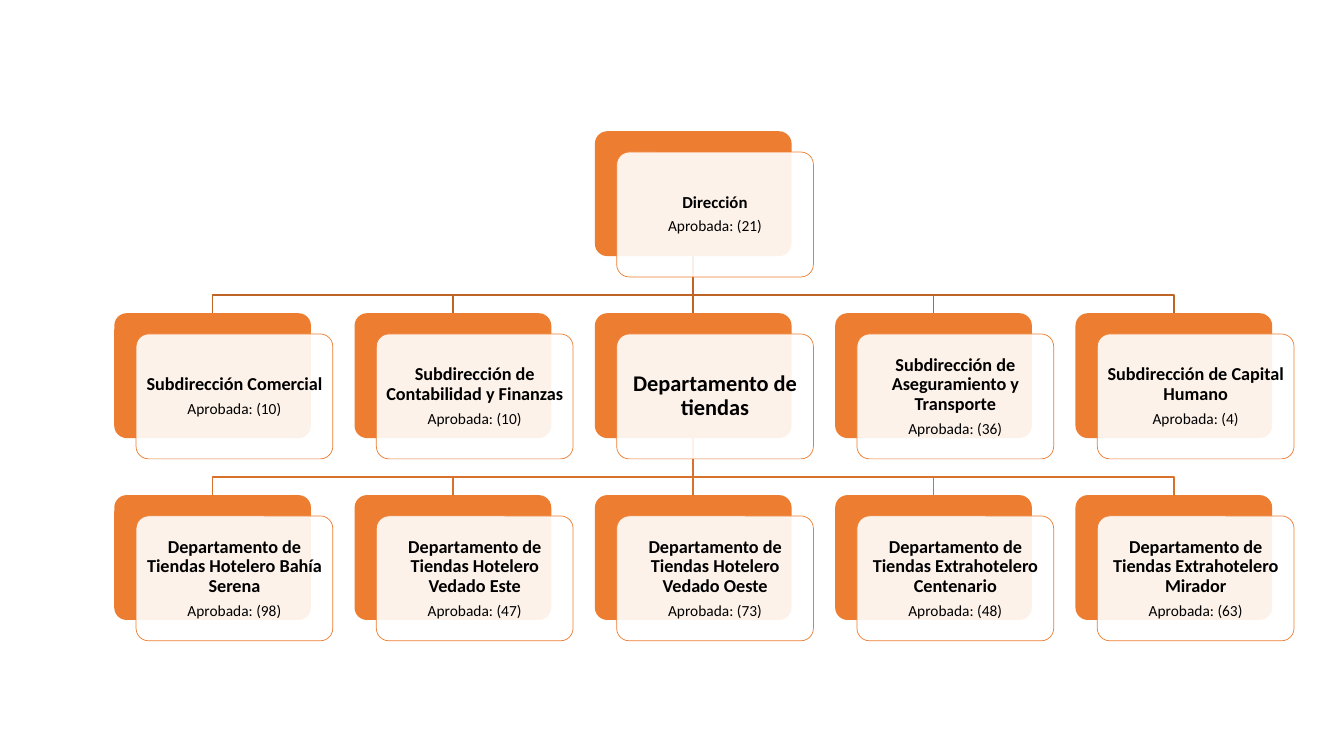
from dataclasses import dataclass
from typing import Optional

from lxml.etree import SubElement
from pptx import Presentation
from pptx.dml.color import RGBColor
from pptx.enum.shapes import MSO_CONNECTOR, MSO_SHAPE
from pptx.enum.text import MSO_ANCHOR, PP_ALIGN
from pptx.oxml.ns import qn
from pptx.shapes.autoshape import Shape
from pptx.slide import Slide
from pptx.util import Pt


@dataclass(frozen=True)
class Theme:
    font: str = "Calibri"
    accent: str = "ED7D31"
    card: str = "FFFFFF"
    card_alpha: int = 90
    text: str = "000000"
    upper_link: str = "BE6427"
    lower_link: str = "D7712C"
    root_size: float = 12
    title_size: float = 13
    hub_size: float = 16
    count_size: float = 11
    line_spacing: float = 0.9
    space_after: float = 0.35


@dataclass(frozen=True)
class Node:
    row: int
    col: int
    title: str
    approved: Optional[int] = None
    size: float = Theme.title_size
    inset: float = 3.6

    @property
    def left(self) -> float:
        return LEFT + self.col * COL_PITCH

    @property
    def top(self) -> float:
        return TOP + self.row * ROW_PITCH

    @property
    def center(self) -> float:
        return self.left + BOX_W / 2


THEME = Theme()
LEFT, TOP = 81.6, 93.75
COL_PITCH, ROW_PITCH = 171.65, 129.95
BOX_W, BOX_H = 140.5, 89.2
CARD_DX, CARD_DY = 15.6, 14.85
BUS_GAP = 13

ROOT = Node(0, 2, "Dirección", 21, THEME.root_size)
HUB = Node(1, 2, "Departamento de tiendas", size=THEME.hub_size, inset=4.8)
DIVISIONS = [
    Node(1, 0, "Subdirección Comercial", 10),
    Node(1, 1, "Subdirección de Contabilidad y Finanzas", 10),
    HUB,
    Node(1, 3, "Subdirección de Aseguramiento y Transporte", 36),
    Node(1, 4, "Subdirección de Capital Humano", 4),
]
STORES = [
    Node(2, col, f"Departamento de Tiendas {name}", approved)
    for col, (name, approved) in enumerate([
        ("Hotelero Bahía Serena", 98),
        ("Hotelero Vedado Este", 47),
        ("Hotelero Vedado Oeste", 73),
        ("Extrahotelero Centenario", 48),
        ("Extrahotelero Mirador", 63),
    ])
]


def rgb(color: str) -> RGBColor:
    return RGBColor.from_string(color)


def add_link(s: Slide, parent: Node, child: Node, color: str) -> None:
    """Join parent to child with a straight line or, across columns, an elbow."""
    x0, y0 = Pt(parent.center), Pt(parent.top + BOX_H)
    x1, y1 = Pt(child.center), Pt(child.top)
    if parent.col == child.col:
        link = s.shapes.add_connector(MSO_CONNECTOR.STRAIGHT, x0, y0, x1, y1)
        SubElement(link.element.spPr, qn("a:effectLst"))
    else:
        bus = Pt(child.top - BUS_GAP)
        builder = s.shapes.build_freeform(x0, y0)
        builder.add_line_segments([(x0, bus), (x1, bus), (x1, y1)], close=False)
        link = builder.convert_to_shape()
        link.fill.background()
        link.shadow.inherit = False
    link.line.color.rgb = rgb(color)
    link.line.width = Pt(1)


def add_box(s: Slide, left: float, top: float, color: str) -> Shape:
    sp = s.shapes.add_shape(
        MSO_SHAPE.ROUNDED_RECTANGLE, Pt(left), Pt(top), Pt(BOX_W), Pt(BOX_H)
    )
    sp.adjustments[0] = 0.1
    sp.shadow.inherit = False
    sp.fill.solid()
    sp.fill.fore_color.rgb = rgb(color)
    sp.line.fill.background()
    return sp


def add_text(sp: Shape, node: Node) -> None:
    tf = sp.text_frame
    tf.word_wrap = True
    tf.vertical_anchor = MSO_ANCHOR.MIDDLE
    tf.margin_left = tf.margin_right = Pt(node.inset)
    tf.margin_top = tf.margin_bottom = Pt(node.inset)
    lines = [(node.title, node.size, True)]
    if node.approved is not None:
        lines.append((f"Aprobada: ({node.approved})", THEME.count_size, False))
    for i, (text, size, bold) in enumerate(lines):
        p = tf.add_paragraph() if i else tf.paragraphs[0]
        p.alignment = PP_ALIGN.CENTER
        p.line_spacing = THEME.line_spacing
        p.space_after = Pt(THEME.space_after * size)
        r = p.add_run()
        r.text = text
        r.font.name = THEME.font
        r.font.size = Pt(size)
        r.font.bold = bold
        r.font.color.rgb = rgb(THEME.text)


def add_node(s: Slide, node: Node) -> None:
    """Draw the solid back plate and the translucent card that holds the text."""
    add_box(s, node.left, node.top, THEME.accent)
    card = add_box(s, node.left + CARD_DX, node.top + CARD_DY, THEME.card)
    fill = card.element.spPr.find(qn("a:solidFill")).find(qn("a:srgbClr"))
    SubElement(fill, qn("a:alpha"), val=str(THEME.card_alpha * 1000))
    card.line.color.rgb = rgb(THEME.accent)
    card.line.width = Pt(0.5)
    add_text(card, node)


def main() -> None:
    prs = Presentation()
    prs.slide_width, prs.slide_height = Pt(960), Pt(540)
    s = prs.slides.add_slide(prs.slide_layouts[6])
    for parent, children, color in [
        (ROOT, DIVISIONS, THEME.upper_link),
        (HUB, STORES, THEME.lower_link),
    ]:
        for child in children:
            add_link(s, parent, child, color)
    for node in [ROOT, *DIVISIONS, *STORES]:
        add_node(s, node)
    prs.save("out.pptx")


if __name__ == "__main__":
    main()
